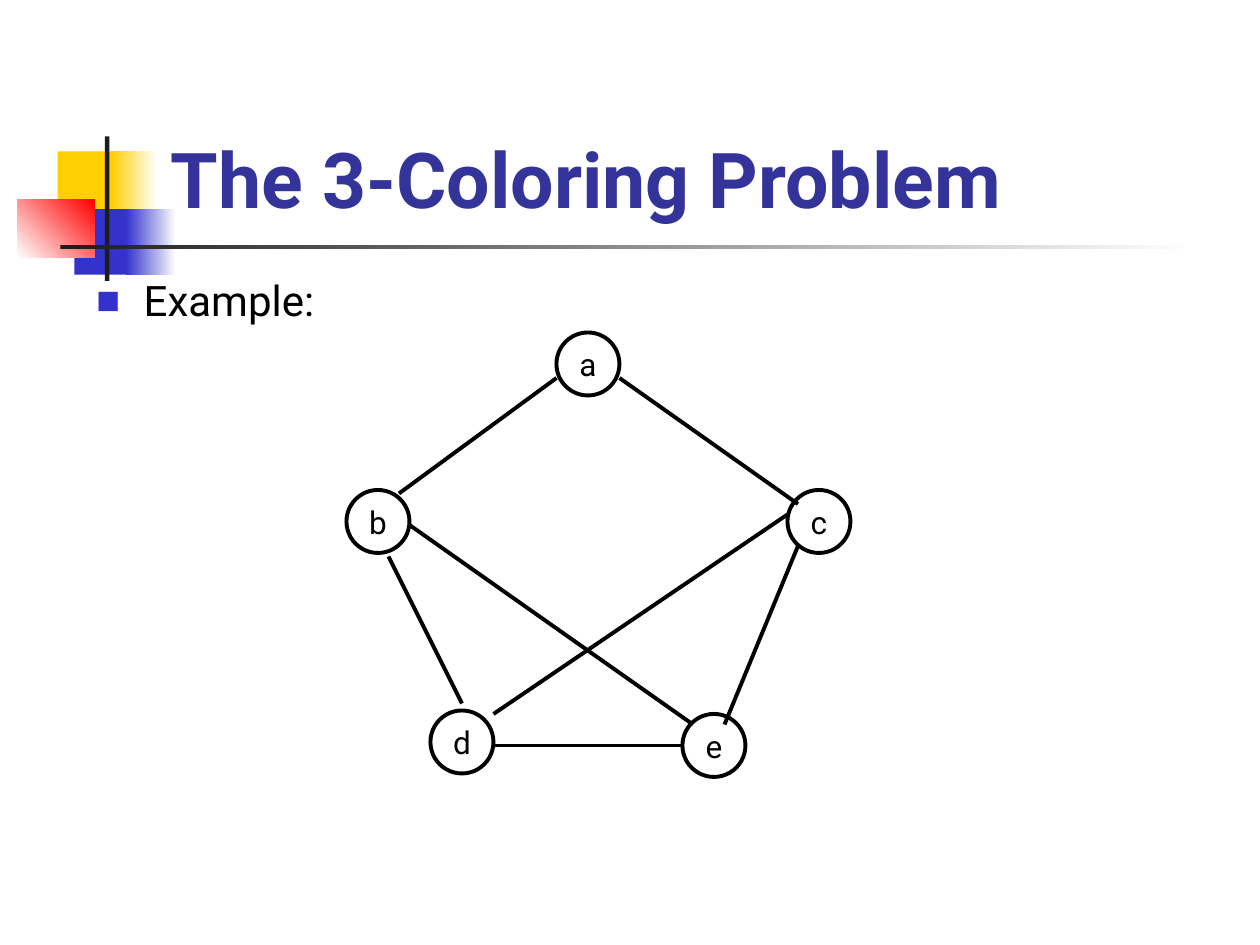
"""Build a slide that shows an example graph for the 3-coloring problem."""
from typing import NamedTuple, Optional

from lxml.etree import SubElement
from pptx import Presentation
from pptx.dml.color import RGBColor
from pptx.enum.shapes import MSO_CONNECTOR, MSO_SHAPE
from pptx.enum.text import MSO_ANCHOR, MSO_AUTO_SIZE, PP_ALIGN
from pptx.oxml.ns import qn
from pptx.slide import Slide
from pptx.text.text import TextFrame, _Paragraph
from pptx.util import Pt

FONT = "Roboto"
BLACK = RGBColor(0x00, 0x00, 0x00)
WHITE = RGBColor(0xFF, 0xFF, 0xFF)
CHARCOAL = RGBColor(0x1C, 0x1C, 0x1C)
YELLOW = RGBColor(0xFF, 0xCF, 0x01)
BLUE = RGBColor(0x33, 0x33, 0xCC)
RED = RGBColor(0xFF, 0x00, 0x00)
INDIGO = RGBColor(0x33, 0x33, 0x99)

NODE_SIZE = 36
STROKE = 2.25


class Block(NamedTuple):
    left: float
    top: float
    width: float
    height: float
    color: RGBColor
    end_color: Optional[RGBColor] = None
    angle: float = 0


class Node(NamedTuple):
    label: str
    left: float
    top: float


class Edge(NamedTuple):
    x1: float
    y1: float
    x2: float
    y2: float


ORNAMENT = [
    Block(33, 86.5, 34.5, 37.5, YELLOW),
    Block(63.5, 86.5, 26, 37.5, YELLOW, WHITE),
    Block(42.5, 119.5, 33, 37.5, BLUE),
    Block(72, 119.5, 28.5, 37.5, BLUE, WHITE),
    Block(10, 114, 44, 33, WHITE, RED, 45),
    Block(60, 78, 2.5, 82.5, CHARCOAL),
    Block(34.5, 140, 648, 2.5, CHARCOAL, WHITE),
]
NODES = [
    Node("a", 318, 190),
    Node("b", 198, 280),
    Node("c", 450, 280),
    Node("d", 246, 406),
    Node("e", 390, 408),
]
EDGES = [
    Edge(354, 216, 456, 288),
    Edge(318, 216, 228, 282),
    Edge(456, 312, 414, 414),
    Edge(222, 318, 264, 402),
    Edge(282, 426, 390, 426),
    Edge(234, 300, 396, 414),
    Edge(282, 408, 450, 294),
]


def write(frame: TextFrame, text: str, *, size: float, color: RGBColor = BLACK,
          bold: bool = False, align: PP_ALIGN = PP_ALIGN.LEFT,
          anchor: MSO_ANCHOR = MSO_ANCHOR.TOP, wrap: bool = True) -> _Paragraph:
    frame.auto_size = MSO_AUTO_SIZE.NONE
    frame.word_wrap = wrap
    frame.vertical_anchor = anchor
    paragraph = frame.paragraphs[0]
    paragraph.alignment = align
    run = paragraph.add_run()
    run.text = text
    run.font.name = FONT
    run.font.size = Pt(size)
    run.font.bold = bold
    run.font.color.rgb = color
    return paragraph


def draw_block(slide: Slide, block: Block) -> None:
    rectangle = slide.shapes.add_shape(
        MSO_SHAPE.RECTANGLE, Pt(block.left), Pt(block.top), Pt(block.width), Pt(block.height))
    rectangle.shadow.inherit = False
    rectangle.line.fill.background()
    if block.end_color is None:
        rectangle.fill.solid()
        rectangle.fill.fore_color.rgb = block.color
        return
    rectangle.fill.gradient()
    rectangle.fill.gradient_angle = block.angle
    for stop, color in zip(rectangle.fill.gradient_stops, (block.color, block.end_color)):
        stop.color.rgb = color


def draw_node(slide: Slide, node: Node) -> None:
    circle = slide.shapes.add_shape(
        MSO_SHAPE.OVAL, Pt(node.left), Pt(node.top), Pt(NODE_SIZE), Pt(NODE_SIZE))
    circle.shadow.inherit = False
    circle.fill.background()
    circle.line.color.rgb = BLACK
    circle.line.width = Pt(STROKE)
    frame = circle.text_frame
    frame.margin_left = frame.margin_right = frame.margin_top = frame.margin_bottom = 0
    write(frame, node.label, size=18, align=PP_ALIGN.CENTER,
          anchor=MSO_ANCHOR.MIDDLE, wrap=False)


def draw_edge(slide: Slide, edge: Edge) -> None:
    connector = slide.shapes.add_connector(
        MSO_CONNECTOR.STRAIGHT, Pt(edge.x1), Pt(edge.y1), Pt(edge.x2), Pt(edge.y2))
    connector.line.color.rgb = BLACK
    connector.line.width = Pt(STROKE)
    SubElement(connector._element.spPr, qn("a:effectLst"))


def add_bullet(paragraph: _Paragraph, color: RGBColor, indent: float) -> None:
    properties = paragraph._p.get_or_add_pPr()
    properties.set("marL", str(Pt(indent)))
    properties.set("indent", str(-Pt(indent)))
    bullet_color = SubElement(properties, qn("a:buClr"))
    SubElement(bullet_color, qn("a:srgbClr"), val=str(color))
    SubElement(properties, qn("a:buSzPct"), val="60000")
    SubElement(properties, qn("a:buFont"), typeface=FONT)
    SubElement(properties, qn("a:buChar"), char="■")


def main() -> None:
    presentation = Presentation()
    presentation.slide_width = Pt(720)
    presentation.slide_height = Pt(540)
    slide = presentation.slides.add_slide(presentation.slide_layouts[5])

    title = slide.shapes.title
    title.left, title.top, title.width, title.height = Pt(90.5), Pt(16.5), Pt(613.5), Pt(115)
    write(title.text_frame, "The 3-Coloring Problem", size=44, color=INDIGO, bold=True,
          anchor=MSO_ANCHOR.BOTTOM)

    for block in ORNAMENT:
        draw_block(slide, block)

    body = slide.shapes.add_textbox(Pt(48), Pt(159), Pt(663), Pt(45.5))
    example = write(body.text_frame, "Example:", size=24)
    example.line_spacing = 0.8
    add_bullet(example, BLUE, 27)

    for node in NODES:
        draw_node(slide, node)
    for edge in EDGES:
        draw_edge(slide, edge)

    presentation.save("out.pptx")


if __name__ == "__main__":
    main()
